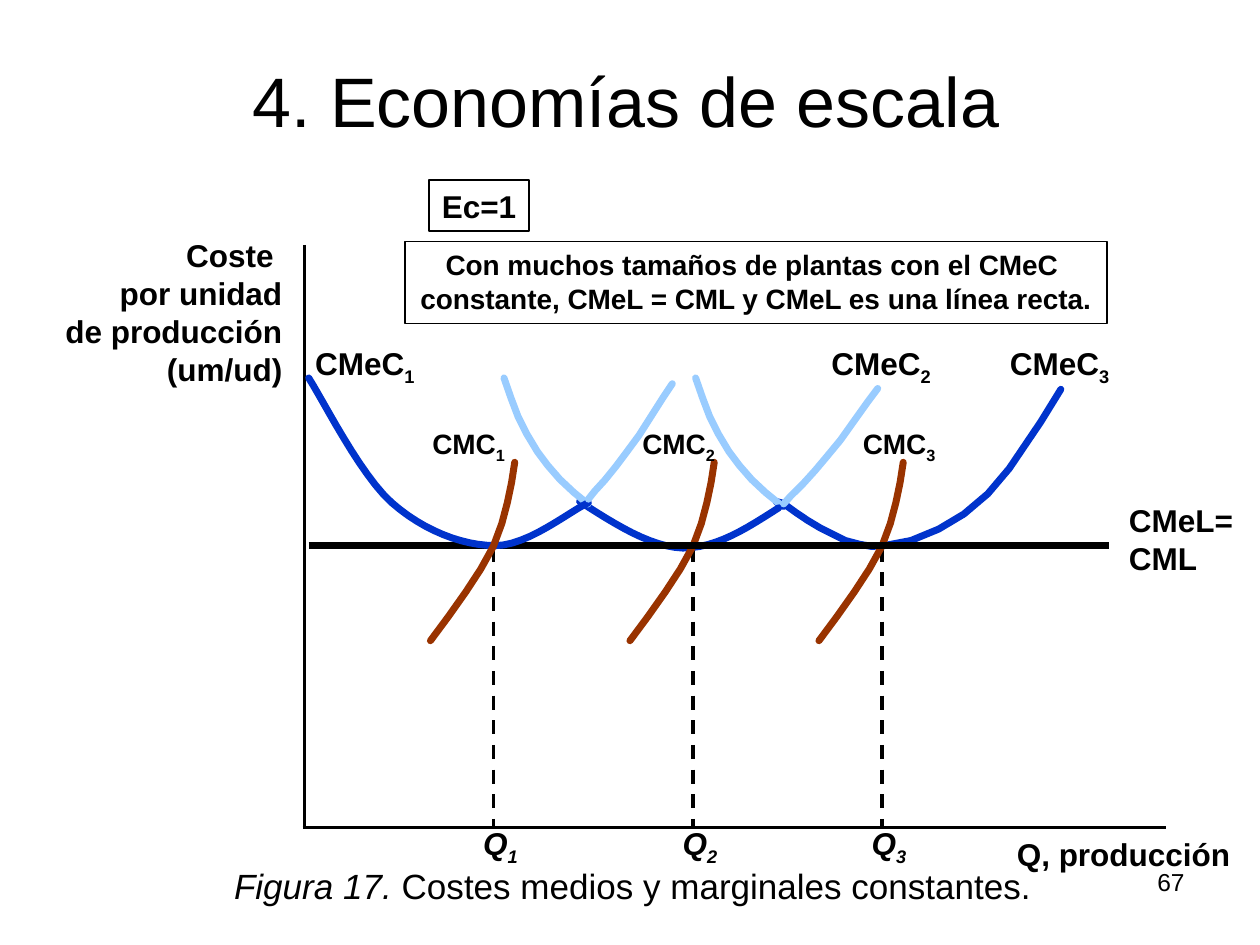
from lxml import etree
from pptx import Presentation
from pptx.dml.color import RGBColor
from pptx.enum.dml import MSO_LINE
from pptx.enum.shapes import MSO_CONNECTOR, MSO_SHAPE
from pptx.enum.text import MSO_ANCHOR, PP_ALIGN
from pptx.oxml.ns import qn
from pptx.util import Pt

LEFT, CENTER, RIGHT = PP_ALIGN.LEFT, PP_ALIGN.CENTER, PP_ALIGN.RIGHT
TOP, MIDDLE, BOTTOM = MSO_ANCHOR.TOP, MSO_ANCHOR.MIDDLE, MSO_ANCHOR.BOTTOM
STRAIGHT, RECT, DASH = MSO_CONNECTOR.STRAIGHT, MSO_SHAPE.RECTANGLE, MSO_LINE.DASH
BLACK, BLUE, LIGHT, BROWN = "000000", "0033CC", "99CCFF", "993300"

MARGINAL = [(-36, 102), (-25.6, 88), (-15.7, 74), (-7.2, 61), (0, 48),
            (4.8, 35), (8, 23), (10.4, 11.5), (12.2, 0)]
FALLING = [(48, 72), (40, 65.5), (32, 58), (25, 50), (19, 42),
           (13, 32), (8, 22), (4, 11.5), (0, 0)]
RISING = [(0, 0), (3.6, -4.5), (9.5, -11), (16, -19), (22, -27),
          (29, -36.5), (36, -47.5), (43, -58.5), (48, -66)]
AVERAGE_1 = [(2.4, 76), (10.3, 88.2), (31.9, 131.4), (49.9, 147.3),
             (67.9, 163.1), (90.2, 171.8), (109, 171.8),
             (127.7, 171.8), (151.4, 152.3), (162.2, 147.3)]
AVERAGE_2 = [(157.2, 146.6), (177.4, 159.5), (197.5, 172.5), (216.2, 173.2),
             (235.7, 173.2), (253, 161.7), (271, 150.2)]
AVERAGE_3 = [(273.8, 149.4), (272.4, 148.7), (270.2, 147.3), (269.5, 146.6),
             (272.4, 147.3), (276, 149.4), (281, 153), (287.5, 157.4),
             (294.7, 161.7), (301.9, 165.3), (309.1, 168.9), (317, 171),
             (324.2, 172.3), (331.4, 171.8), (346.6, 168.9), (362.4, 162.4),
             (376.8, 153.8), (390.5, 142.2), (402.7, 127.8), (420.7, 101.2),
             (432.2, 82.5)]


def rgb(value):
    return RGBColor.from_string(value)


def style_font(font, size, bold=None, italic=None):
    font.name, font.size, font.bold, font.italic = "Arial", Pt(size), bold, italic
    font.color.rgb = rgb(BLACK)


def fill_text(sp, lines, size, align=LEFT, bold=True, italic=None, wrap=False, anchor=TOP):
    tf = sp.text_frame
    tf.word_wrap = wrap
    tf.vertical_anchor = anchor
    for i, line in enumerate(lines):
        p = tf.paragraphs[0] if i == 0 else tf.add_paragraph()
        p.text = line
        p.alignment = align
        style_font(p.font, size, bold, italic)
    return tf.paragraphs[0]


def add_text(s, box, lines, size, **options):
    sp = s.shapes.add_textbox(*map(Pt, box))
    return fill_text(sp, lines, size, **options)


def add_symbol(s, box, name, number, size, italic=None):
    p = add_text(s, box, [name], size, italic=italic)
    r = p.add_run()
    r.text = str(number)
    r.font._element.set("baseline", "-25000")


def add_frame(s, box, lines, size, anchor):
    sp = s.shapes.add_shape(RECT, *map(Pt, box))
    sp.shadow.inherit = False
    sp.fill.background()
    sp.line.color.rgb = rgb(BLACK)
    sp.line.width = Pt(1)
    fill_text(sp, lines, size, align=CENTER, anchor=anchor)


def add_line(s, x1, y1, x2, y2, width, dash=None):
    c = s.shapes.add_connector(STRAIGHT, *map(Pt, (x1, y1, x2, y2)))
    c.line.color.rgb = rgb(BLACK)
    c.line.width = Pt(width)
    if dash:
        c.line.dash_style = dash
    etree.SubElement(c._element.spPr, qn("a:effectLst"))


def add_curve(s, x, y, points, color):
    points = [(Pt(x + px), Pt(y + py)) for px, py in points]
    builder = s.shapes.build_freeform(*points[0])
    builder.add_line_segments(points[1:], close=False)
    sp = builder.convert_to_shape()
    sp.shadow.inherit = False
    sp.fill.background()
    sp.line.color.rgb = rgb(color)
    sp.line.width = Pt(4)
    ln = sp.line._get_or_add_ln()
    ln.set("cap", "rnd")
    etree.SubElement(ln, qn("a:round"))


def bezier(controls, steps=12):
    points = [controls[0]]
    for i in range(0, len(controls) - 1, 3):
        for step in range(1, steps + 1):
            t = step / steps
            weights = ((1 - t) ** 3, 3 * t * (1 - t) ** 2, 3 * t * t * (1 - t), t ** 3)
            points.append(tuple(sum(w * c[axis] for w, c in zip(weights, controls[i:i + 4]))
                                for axis in (0, 1)))
    return points


def add_plant(s, box, number, q, average, cmec_x, cmc_x, falling_x=None, rising=None):
    x, y, _, h = box
    add_line(s, x + q, y + 173, x + q, y + h, 2, DASH)
    add_symbol(s, (x + q - 13, y + 327.3, 38, 29), "Q", number, 18, italic=True)
    add_curve(s, x, y, average, BLUE)
    add_symbol(s, (x + cmec_x, y + 53, 76, 29), "CMeC", number, 18)
    add_curve(s, x + q, y + 124.2, MARGINAL, BROWN)
    add_symbol(s, (x + cmc_x, y + 100, 61, 26), "CMC", number, 16)
    if rising:
        rx, ry, stretch = rising
        add_curve(s, x + rx, y + ry, [(px * stretch, py) for px, py in RISING], LIGHT)
    if falling_x is not None:
        add_curve(s, x + falling_x, y + 76, FALLING, LIGHT)


def add_cost_chart(s, box):
    x, y, w, h = box
    add_line(s, x, y, x, y + h + 1, 2)
    add_line(s, x - 1, y + h, x + w, y + h, 2)
    add_text(s, (x + 400, y + 333.5, 144, 29), ["Q, producción"], 18)
    add_text(s, (x - 154.5, y - 8.5, 149, 94),
             ["Coste ", "por unidad", "de producción", "(um/ud)"], 18, align=RIGHT)
    add_plant(s, box, 3, 330, AVERAGE_3, 396, 312, falling_x=223.5)
    add_plant(s, box, 2, 222, bezier(AVERAGE_2), 294, 186,
              falling_x=114, rising=(273.8, 148, 1.12))
    add_line(s, x + 2.4, y + 172, x + 460, y + 172, 4)
    add_text(s, (x + 464, y + 143, 81, 50), ["CMeL=", "CML"], 18)
    add_frame(s, (x + 57.5, y - 2, 401, 47),
              ["Con muchos tamaños de plantas con el CMeC ",
               "constante, CMeL = CML y CMeL es una línea recta."], 16, TOP)
    add_plant(s, box, 1, 108, bezier(AVERAGE_1), -1, 66, rising=(162.2, 145.3, 1))
    add_frame(s, (x + 71, y - 37, 57.5, 29), ["Ec=1"], 18, MIDDLE)


def add_title(s, box):
    sp = s.shapes.title
    sp.left, sp.top, sp.width, sp.height = map(Pt, box)
    fill_text(sp, ["4. Economías de escala"], 40, align=CENTER, bold=None,
              wrap=True, anchor=BOTTOM)


def add_caption(s, box):
    p = add_text(s, box, ["Figura 17. "], 20, bold=None, wrap=True)
    p.runs[0].font.italic = True
    p.add_run().text = "Costes medios y marginales constantes."


def main():
    prs = Presentation()
    prs.slide_width, prs.slide_height = Pt(720), Pt(540)
    s = prs.slides.add_slide(prs.slide_layouts[5])
    add_text(s, (516, 492, 168, 37.5), ["67"], 14, align=RIGHT, bold=None, wrap=True)
    add_title(s, (43, 23.5, 629, 61))
    add_cost_chart(s, (174, 140, 492, 333))
    add_caption(s, (126.7, 490.5, 559.5, 37.5))
    prs.save("out.pptx")


if __name__ == "__main__":
    main()
